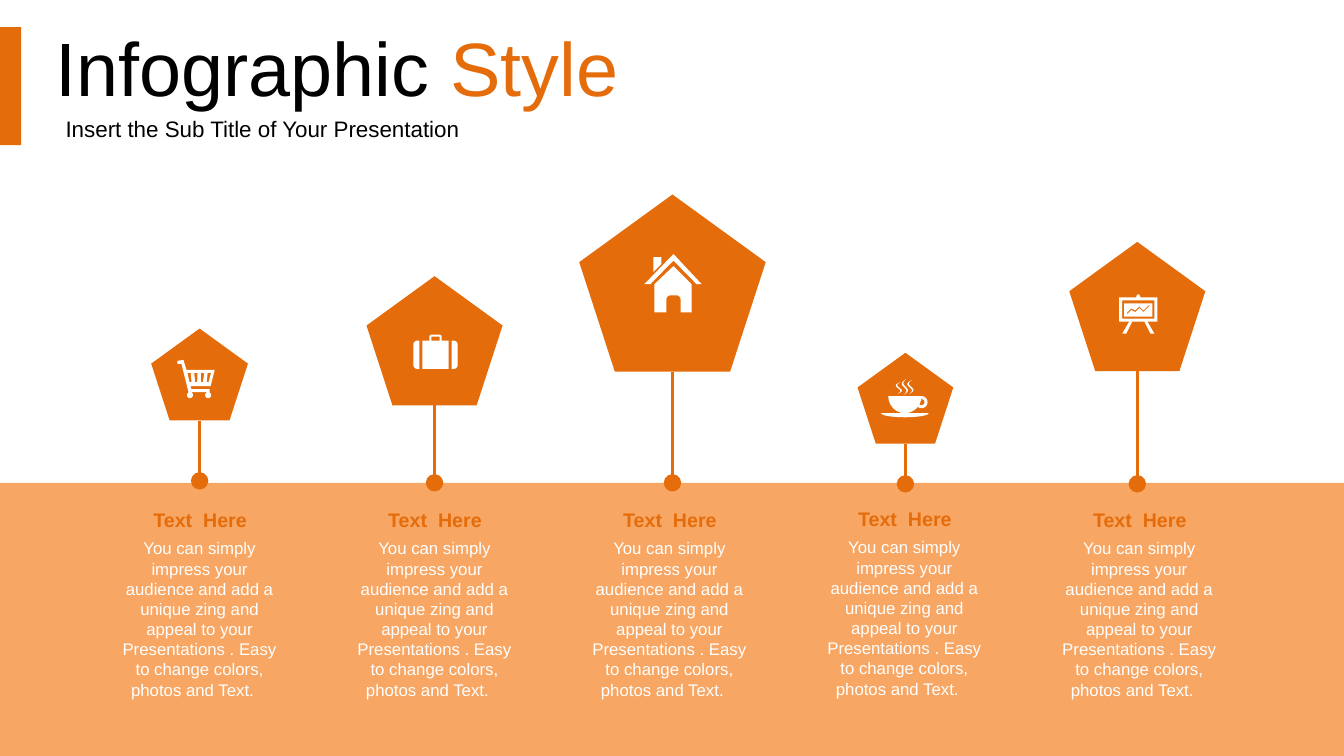
from collections import namedtuple
from math import cos, pi, radians, sin

from lxml import etree
from pptx import Presentation
from pptx.dml.color import RGBColor
from pptx.enum.shapes import MSO_CONNECTOR, MSO_SHAPE
from pptx.enum.text import MSO_ANCHOR, MSO_AUTO_SIZE, PP_ALIGN
from pptx.oxml.ns import qn
from pptx.util import Inches, Pt

RECT, PENTAGON = MSO_SHAPE.RECTANGLE, MSO_SHAPE.REGULAR_PENTAGON
STRAIGHT = MSO_CONNECTOR.STRAIGHT
TOP, MIDDLE = MSO_ANCHOR.TOP, MSO_ANCHOR.MIDDLE
LEFT, CENTER = PP_ALIGN.LEFT, PP_ALIGN.CENTER
NO_AUTOFIT = MSO_AUTO_SIZE.NONE

COLORS = {"accent": "E46C0A", "band": "F8A663", "white": "FFFFFF", "black": "000000"}
FONT = "Arial"
HEADING = "Text  Here"
BODY = ("You can simply impress your audience and add a unique zing and appeal "
        "to your Presentations . Easy to change colors, photos and Text.   ")

SLIDE_WIDTH, SLIDE_HEIGHT = 13.33, 7.5
BAND_TOP = 4.79
COLUMN_LEFT, COLUMN_PITCH = 1.1, 2.33
HEADING_TO_BODY = 0.3
PENTAGON_RATIO = 0.95
ICON_UNIT = 0.01
CURVE_STEPS = 12

Milestone = namedtuple("Milestone", "center top width stem_end heading_top icon icon_at")


def rect(x, y, width, height):
    return [(x, y), (x + width, y), (x + width, y + height), (x, y + height)]


def arc(cx, cy, rx, ry, start, end):
    angles = [radians(start + (end - start) * i / CURVE_STEPS) for i in range(CURVE_STEPS + 1)]
    return [(cx + rx * cos(a), cy + ry * sin(a)) for a in angles]


def mirror(outline, width):
    return [(width - x, y) for x, y in outline]


def ribbon(points, dx, dy):
    return points + [(x + dx, y + dy) for x, y in reversed(points)]


def cart():
    frame = [(0, 1), (6, 0), (9, 10), (37, 10), (33, 26), (13, 26),
             (14, 29), (32, 29), (32, 32), (11, 32), (4, 4), (0, 4)]
    slots = []
    for i in range(4):
        upper, lower = 10 + 6.67 * i, 12 + 5.67 * i
        slots.append([(upper, 13), (upper + 3.3, 13), (lower + 2, 22), (lower, 22)])
    wheels = [arc(x, 35, 3, 3, 0, 360) for x in (12.5, 30.5)]
    return [frame, *slots, *wheels]


def suitcase():
    width = 44
    side = arc(4, 30, 4, 4, 90, 180) + arc(4, 10, 4, 4, 180, 270) + [(6, 6), (6, 34)]
    handle = ([(16, 6)] + arc(18, 2, 2, 2, 180, 270) + arc(26, 2, 2, 2, 270, 360)
              + [(28, 6), (26, 6), (26, 2), (18, 2), (18, 6)])
    return [side, mirror(side, width), rect(9, 6, 26, 28), handle]


def house():
    door = [(36, 58)] + arc(32, 45, 4, 4, 0, -90) + arc(26, 45, 4, 4, -90, -180) + [(22, 58)]
    walls = [(29, 12), (47, 30), (47, 58)] + door + [(10, 58), (10, 30)]
    chimney = [(9, 3), (17, 3), (17, 10), (9, 18)]
    roof = [(29, 0), (57, 30), (52, 30), (29, 6.5), (6, 30), (0, 30)]
    return [walls, chimney, roof]


def steam(x, top, height):
    steps = [i / CURVE_STEPS for i in range(CURVE_STEPS + 1)]

    def edge(side):
        return [(x + 1.5 - 3 * t - 3 * sin(2 * pi * t) + side * sin(pi * t), top + height * t)
                for t in steps]

    return edge(-1) + edge(1)[::-1]


def cup():
    bowl = arc(23.5, 17, 16.5, 17, 0, 180)
    saucer = arc(23.5, 34, 23.5, 4, 0, 180)
    handle = arc(40, 23, 6, 6, -90, 126) + arc(40, 23, 3, 3, 126, -90)
    wisps = [steam(17.5, 3, 12), steam(23.5, 0, 16), steam(29, 1, 14)]
    return [bowl, saucer, handle, *wisps]


def easel():
    width = 38
    board, gap, panel = rect(0, 3, 38, 24), rect(3, 6, 32, 18), rect(5, 9, 28, 13)
    trend = ribbon([(8, 18), (12, 14), (16, 16), (20, 12), (24, 16), (30, 10)], 0, 1.6)
    leg = [(10, 27), (13, 27), (7, 39), (3, 39)]
    knob = arc(19, 3, 2, 3, 180, 360)
    return [board, gap, panel, trend, leg, mirror(leg, width), knob]


MILESTONES = [
    Milestone(1.98, 3.26, 0.96, 4.77, 4.99, cart, (1.76, 3.57)),
    Milestone(4.31, 2.74, 1.35, 4.79, 4.99, suitcase, (4.1, 3.32)),
    Milestone(6.67, 1.93, 1.85, 4.79, 4.99, house, (6.39, 2.52)),
    Milestone(8.98, 3.5, 0.95, 4.8, 4.98, cup, (8.74, 3.76)),
    Milestone(11.28, 2.4, 1.35, 4.8, 4.99, easel, (11.1, 2.92)),
]


def rgb(name):
    return RGBColor.from_string(COLORS[name])


def paint(sp, color):
    sp.shadow.inherit = False
    sp.fill.solid()
    sp.fill.fore_color.rgb = rgb(color)
    sp.line.fill.background()


def add_block(s, kind, place, color):
    paint(s.shapes.add_shape(kind, *map(Inches, place)), color)


def write(sp, runs, size, bold=False, align=LEFT, anchor=TOP,
          insets=(0.1, 0.05, 0.1, 0.05), spacing=1.0):
    tf = sp.text_frame
    tf.word_wrap = True
    tf.auto_size = NO_AUTOFIT
    tf.vertical_anchor = anchor
    tf.margin_left, tf.margin_top, tf.margin_right, tf.margin_bottom = map(Inches, insets)
    p = tf.paragraphs[0]
    p.alignment = align
    p.line_spacing = spacing
    for text, color in runs:
        r = p.add_run()
        r.text = text
        r.font.name, r.font.size, r.font.bold = FONT, Pt(size), bold
        r.font.color.rgb = rgb(color)


def add_text(s, place, text, color, size, **style):
    write(s.shapes.add_textbox(*map(Inches, place)), [(text, color)], size, **style)


def add_title(s, place, runs, size, **style):
    sp = s.shapes.title
    sp.left, sp.top, sp.width, sp.height = map(Inches, place)
    write(sp, runs, size, **style)


def add_stem(s, x, top, bottom):
    stem = s.shapes.add_connector(STRAIGHT, *map(Inches, (x, top, x, bottom)))
    stem.line.color.rgb = rgb("accent")
    stem.line.width = Pt(2.5)
    ln = stem._element.spPr.find(qn("a:ln"))
    etree.SubElement(ln, qn("a:tailEnd"), type="oval", w="lg", len="lg")
    etree.SubElement(stem._element.spPr, qn("a:effectLst"))


def add_icon(s, outlines, left, top):
    placed = [[(Inches(left + x * ICON_UNIT), Inches(top + y * ICON_UNIT)) for x, y in outline]
              for outline in outlines]
    builder = s.shapes.build_freeform(*placed[0][0])
    for points in placed:
        builder.move_to(*points[0])
        builder.add_line_segments(points[1:], close=True)
    paint(builder.convert_to_shape(), "white")


def add_milestone(s, m, left):
    height = m.width * PENTAGON_RATIO
    add_text(s, (left, m.heading_top, 1.77, 0.34), HEADING, "accent", 14,
             bold=True, align=CENTER, anchor=MIDDLE)
    add_text(s, (left, m.heading_top + HEADING_TO_BODY, 1.76, 1.72), BODY, "white", 12,
             align=CENTER)
    add_block(s, PENTAGON, (m.center - m.width / 2, m.top, m.width, height), "accent")
    add_stem(s, m.center, m.top + height, m.stem_end)
    add_icon(s, m.icon(), *m.icon_at)


def main():
    prs = Presentation()
    prs.slide_width, prs.slide_height = Inches(SLIDE_WIDTH), Inches(SLIDE_HEIGHT)
    s = prs.slides.add_slide(prs.slide_layouts[5])
    add_block(s, RECT, (0, 0.27, 0.21, 1.17), "accent")
    add_title(s, (0.45, 0.29, 12.55, 0.79),
              [("Infographic ", "black"), ("Style", "accent")], 54,
              anchor=MIDDLE, insets=(0.1, 0.1, 0.1, 0.05), spacing=0.9)
    add_text(s, (0.45, 1.08, 12.55, 0.38), "Insert the Sub Title of Your Presentation",
             "black", 16, anchor=MIDDLE, insets=(0.2, 0.1, 0.1, 0.05), spacing=0.9)
    add_block(s, RECT, (0, BAND_TOP, SLIDE_WIDTH, SLIDE_HEIGHT - BAND_TOP), "band")
    for i, milestone in enumerate(MILESTONES):
        add_milestone(s, milestone, COLUMN_LEFT + i * COLUMN_PITCH)
    prs.save("out.pptx")


if __name__ == "__main__":
    main()
